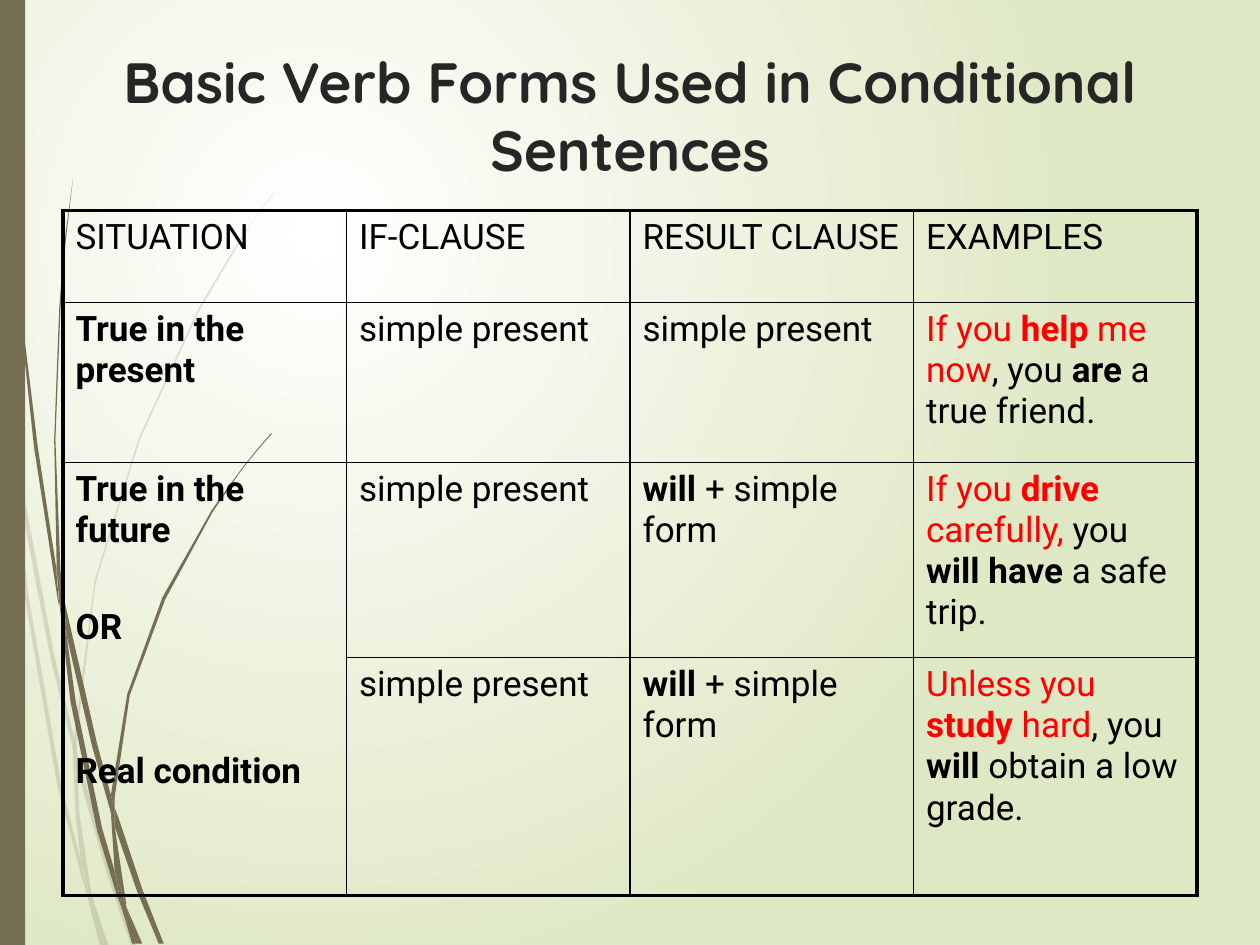
from lxml import etree
from pptx import Presentation
from pptx.dml.color import RGBColor
from pptx.enum.shapes import MSO_SHAPE
from pptx.enum.text import PP_ALIGN
from pptx.oxml import parse_xml
from pptx.oxml.ns import nsdecls, qn
from pptx.util import Inches, Pt

BLACK = RGBColor(0, 0, 0)
RED = RGBColor(0xFF, 0, 0)
CHARCOAL = RGBColor(0x26, 0x26, 0x26)
OLIVE = RGBColor(0x76, 0x6F, 0x54)
WHITE = RGBColor(0xFF, 0xFF, 0xFF)
PALE_GREEN = RGBColor(0xDF, 0xE8, 0xC4)

TITLE = "Basic Verb Forms Used in Conditional Sentences"

# A cell is a list of paragraphs (space before in points, runs);
# a run is (text, marks) with b for bold and r for red.
PRESENT = [(0, [("simple present", "")])]
WILL = [(0, [("will ", "b"), ("+ simple form", "")])]
ROWS = [
    [[(0, [(heading, "")])] for heading in
     ("SITUATION", "IF-CLAUSE", "RESULT CLAUSE", "EXAMPLES")],
    [[(0, [("True in the present", "b")])], PRESENT, PRESENT,
     [(0, [("If you ", "r"), ("help", "rb"), (" me now", "r"), (", you ", ""),
           ("are", "b"), (" a true friend.", "")])]],
    [[(0, [("True in the future", "b")]), (32, [("OR", "b")]),
      (59, [("Real condition", "b")])], PRESENT, WILL,
     [(0, [("If you ", "r"), ("drive", "rb"), (" carefully, ", "r"), ("you ", ""),
           ("will have", "b"), (" a safe trip.", "")])]],
    [None, PRESENT, WILL,
     [(0, [("Unless you ", "r"), ("study", "rb"), (" hard", "r"), (", you ", ""),
           ("will", "b"), (" obtain a low grade.", "")])]],
]
ROW_HEIGHTS = (0.73, 1.27, 1.55, 1.89)
COLUMN_WIDTH = 2.25
THICK, THIN = 2.25, 1

# Outlines of the grass blades, in inches
FAINT_BLADES = [
    [(0.08, 3.5), (0.06, 3.22), (0, 2.82), (0, 2.99), (0.07, 3.44)],
    [(0.4, 5.22), (0.59, 5.99), (0.59, 5.86), (0.43, 5.2), (0.1, 3.45), (0.12, 3.76)],
    [(0.64, 6.07), (0.61, 5.96), (0.61, 6.1), (0.85, 6.94), (1.04, 7.5), (1.08, 7.5),
     (0.88, 6.92)],
    [(0.83, 7.5), (0.86, 7.5), (0.73, 7.11)],
    [(0.64, 6.83), (0.48, 6.19), (0.22, 4.69), (0.12, 3.76), (0.08, 3.5), (0.19, 4.7),
     (0.45, 6.21), (0.64, 6.93), (0.7, 7.14), (0.69, 7.07)],
    [(0.58, 5.99), (0.6, 6.46), (0.64, 6.83), (0.67, 6.92), (0.73, 7.11), (0.72, 7.06),
     (0.63, 6.46), (0.61, 6.1), (0.61, 6.08)],
    [(0.61, 5.84), (0.76, 4.62), (1.11, 3.49), (1.59, 2.45), (1.87, 1.98), (2.01, 1.75),
     (2.17, 1.54), (2.17, 1.53), (2.01, 1.75), (1.86, 1.97), (1.58, 2.44), (1.1, 3.48),
     (0.75, 4.61), (0.59, 5.84), (0.59, 5.86), (0.61, 5.96)],
    [(0.7, 7.14), (0.79, 7.5), (0.82, 7.5)],
    [(0.61, 6.08), (0.61, 6.1), (0.61, 5.96), (0.59, 5.86), (0.58, 5.99)],
    [(0.67, 6.92), (0.65, 6.83), (0.69, 7.07), (0.7, 7.14), (0.82, 7.5), (0.83, 7.5),
     (0.73, 7.11)],
]
SOLID_BLADES = [
    [(0.05, 1.1), (0.14, 2.33), (0.27, 3.55), (0.46, 4.77), (0.47, 4.81), (0.45, 4.57),
     (0.45, 4.53), (0.3, 3.55), (0.15, 2.32), (0.06, 1.09), (0.04, 0.48), (0.03, 0),
     (0.02, 0), (0.03, 0.48)],
    [(0.73, 5.92), (0.88, 6.45), (0.88, 6.33), (0.88, 6.31), (0.77, 5.9), (0.5, 4.72),
     (0.53, 5.05)],
    [(0.94, 6.49), (0.91, 6.41), (0.91, 6.56), (1.09, 7.08), (1.26, 7.49), (1.3, 7.49),
     (1.13, 7.06)],
    [(0.91, 6.91), (0.81, 6.57), (0.6, 5.56), (0.53, 5.05), (0.47, 4.77), (0.56, 5.57),
     (0.77, 6.59), (0.92, 7.08), (0.97, 7.22), (0.96, 7.17)],
    [(0.5, 4.72), (0.48, 4.53), (0.44, 3.49), (0.48, 2.45), (0.52, 1.93), (0.58, 1.41),
     (0.51, 1.93), (0.47, 2.45), (0.43, 3.49), (0.45, 4.49), (0.49, 4.72)],
    [(1.1, 7.49), (1.13, 7.49), (1, 7.19)],
    [(0.47, 4.77), (0.53, 5.05), (0.5, 4.72), (0.49, 4.72), (0.45, 4.49), (0.45, 4.53)],
    [(0.91, 6.33), (1.03, 5.52), (1.31, 4.76), (1.69, 4.06), (1.91, 3.74), (2.03, 3.59),
     (2.16, 3.44), (2.15, 3.44), (2.03, 3.58), (1.91, 3.73), (1.68, 4.05), (1.29, 4.74),
     (1.01, 5.51), (0.88, 6.31), (0.91, 6.41)],
    [(0.97, 7.22), (1.05, 7.49), (1.08, 7.49)],
    [(0.88, 6.45), (0.91, 6.91), (0.96, 7.06), (1, 7.19), (1, 7.16), (0.91, 6.56),
     (0.9, 6.51)],
    [(0.88, 6.45), (0.9, 6.51), (0.91, 6.56), (0.91, 6.41), (0.88, 6.31), (0.88, 6.33)],
    [(0.96, 7.06), (0.91, 6.91), (0.96, 7.17), (0.97, 7.22), (1.08, 7.49), (1.1, 7.49),
     (1, 7.19)],
]


def write(frame, paragraphs, *, font, size, color=BLACK, align=PP_ALIGN.LEFT):
    frame.word_wrap = True
    for index, (space_before, runs) in enumerate(paragraphs):
        paragraph = frame.add_paragraph() if index else frame.paragraphs[0]
        paragraph.alignment = align
        paragraph.space_before = Pt(space_before)
        for text, marks in runs:
            run = paragraph.add_run()
            run.text = text
            run.font.name = font
            run.font.size = Pt(size)
            run.font.bold = "b" in marks
            run.font.color.rgb = RED if "r" in marks else color


def paint(shape, alpha=None):
    """Fill a decoration in olive, without outline or shadow."""
    shape.shadow.inherit = False
    shape.line.fill.background()
    shape.fill.solid()
    shape.fill.fore_color.rgb = OLIVE
    if alpha:
        color = next(shape.element.spPr.iter(qn("a:srgbClr")))
        etree.SubElement(color, qn("a:alpha")).set("val", str(alpha * 1000))


def add_blade(shapes, points, alpha=None):
    start, *rest = [(Inches(x), Inches(y)) for x, y in points]
    builder = shapes.build_freeform(*start)
    builder.add_line_segments(rest, close=True)
    paint(builder.convert_to_shape(), alpha)


def set_borders(cell, **widths):
    properties = cell._tc.get_or_add_tcPr()
    for side in "LRTB":
        properties.append(parse_xml(
            f'<a:ln{side} {nsdecls("a")} w="{Pt(widths[side])}"><a:solidFill>'
            f'<a:srgbClr val="{BLACK}"/></a:solidFill></a:ln{side}>'))


def set_background(slide):
    fill = slide.background.fill
    fill.gradient()
    for stop, color in zip(fill.gradient_stops, (WHITE, PALE_GREEN)):
        stop.color.rgb = color
    linear = next(slide.element.iter(qn("a:lin")))
    linear.getparent().replace(linear, parse_xml(
        f'<a:path {nsdecls("a")} path="circle"><a:fillToRect l="50000" t="50000" '
        'r="100000" b="100000"/></a:path>'))


def add_verb_table(shapes):
    row_count, column_count = len(ROWS), len(ROWS[0])
    table = shapes.add_table(
        row_count, column_count, Inches(0.5), Inches(1.67),
        Inches(COLUMN_WIDTH * column_count), Inches(sum(ROW_HEIGHTS))).table
    table.first_row = table.horz_banding = False
    for column in table.columns:
        column.width = Inches(COLUMN_WIDTH)
    table.cell(2, 0).merge(table.cell(3, 0))
    for r, (row, height) in enumerate(zip(ROWS, ROW_HEIGHTS)):
        table.rows[r].height = Inches(height)
        for c, paragraphs in enumerate(row):
            cell = table.cell(r, c)
            last_row = r + (cell.span_height if cell.is_merge_origin else 1) == row_count
            set_borders(cell, L=THIN if c else THICK, T=THIN if r else THICK,
                        R=THICK if c == column_count - 1 else THIN,
                        B=THICK if last_row else THIN)
            cell.fill.background()
            if paragraphs:
                write(cell.text_frame, paragraphs, font="Roboto", size=20)


def main():
    deck = Presentation()
    deck.slide_width, deck.slide_height = Inches(10), Inches(7.5)
    slide = deck.slides.add_slide(deck.slide_layouts[6])
    shapes = slide.shapes
    set_background(slide)
    for blade in FAINT_BLADES:
        add_blade(shapes, blade, alpha=20)
    for blade in SOLID_BLADES:
        add_blade(shapes, blade)
    paint(shapes.add_shape(MSO_SHAPE.RECTANGLE, 0, 0, Inches(0.2), deck.slide_height))
    title = shapes.add_textbox(Inches(0.5), Inches(0.32), Inches(9), Inches(0.85))
    write(title.text_frame, [(0, [(TITLE, "b")])], font="Quicksand", size=32.4,
          color=CHARCOAL, align=PP_ALIGN.CENTER)
    add_verb_table(shapes)
    deck.save("out.pptx")


if __name__ == "__main__":
    main()
